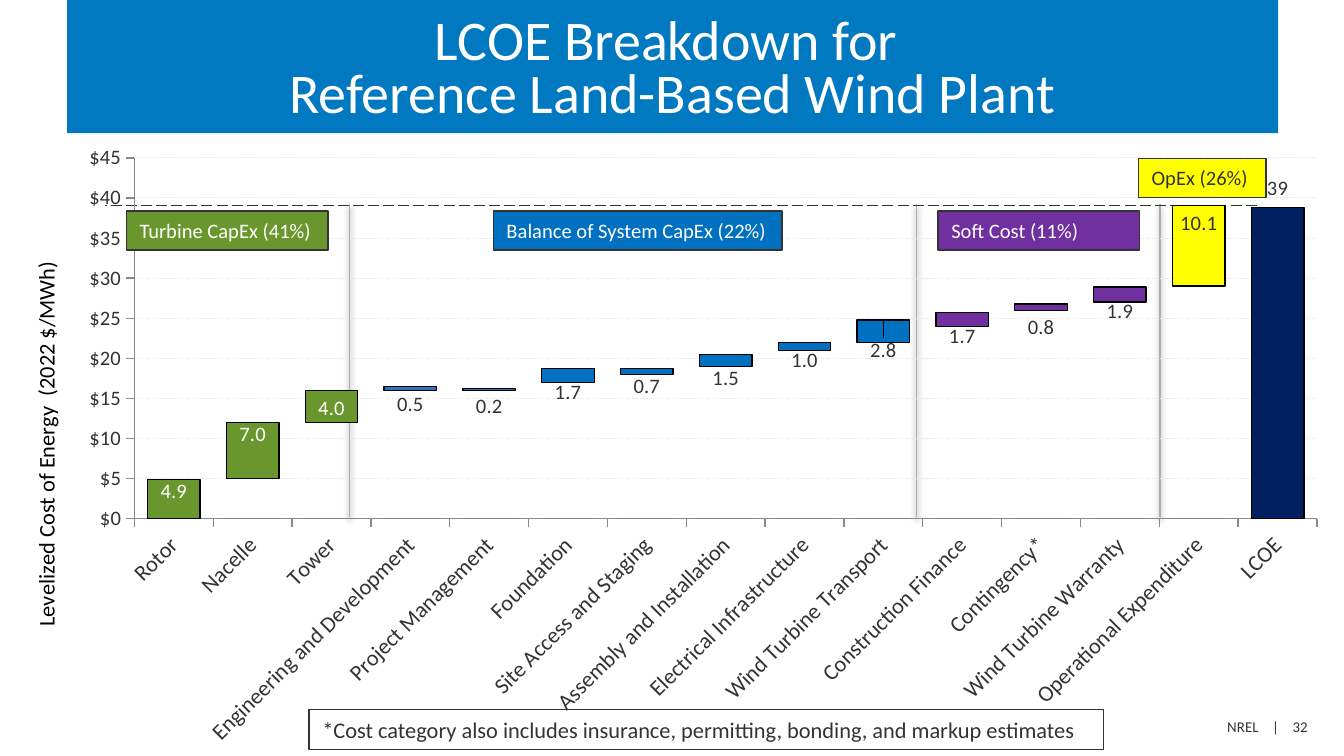
from itertools import accumulate

from lxml import etree
from pptx import Presentation
from pptx.chart.data import CategoryChartData
from pptx.dml.color import RGBColor
from pptx.enum import chart as ch, dml, shapes, text
from pptx.oxml import parse_xml
from pptx.oxml.ns import nsdecls, qn
from pptx.util import Inches, Pt

FONT = "Calibri"
WHITE = RGBColor(0xFF, 0xFF, 0xFF)
BLACK = RGBColor(0, 0, 0)
DARK = RGBColor(0x33, 0x33, 0x33)
BANNER = RGBColor(0x00, 0x79, 0xC1)
GREEN = RGBColor(0x6A, 0x97, 0x2D)
MID_BLUE = RGBColor(0x30, 0x72, 0xC2)
BLUE = RGBColor(0x00, 0x70, 0xC0)
PURPLE = RGBColor(0x70, 0x30, 0xA0)
YELLOW = RGBColor(0xFF, 0xFF, 0x00)
NAVY = RGBColor(0x00, 0x20, 0x60)
ORANGE = RGBColor(0xF6, 0xA0, 0x1A)
DIVIDER = RGBColor(0xAD, 0xAD, 0xAD)
AXIS = RGBColor(0x89, 0x89, 0x89)
GRID = RGBColor(0xE7, 0xE6, 0xE6)

# name, cost, bar colour, vertical label shift as a share of chart height (None: default)
COSTS = [
    ("Rotor", 4.9, GREEN, -0.01),
    ("Nacelle", 7.0, GREEN, -0.01),
    ("Tower", 4.0, GREEN, 0.0),
    ("Engineering and Development", 0.5, MID_BLUE, None),
    ("Project Management", 0.2, MID_BLUE, 0.0),
    ("Foundation", 1.7, BLUE, 0.01),
    ("Site Access and Staging", 0.7, BLUE, None),
    ("Assembly and Installation", 1.5, BLUE, 0.01),
    ("Electrical Infrastructure", 1.0, BLUE, 0.0),
    ("Wind Turbine Transport", 2.8, BLUE, 0.02),
    ("Construction Finance", 1.7, PURPLE, 0.01),
    ("Contingency*", 0.8, PURPLE, 0.01),
    ("Wind Turbine Warranty", 1.9, PURPLE, 0.01),
    ("Operational Expenditure", 10.1, YELLOW, None),
]
TOTAL = ("LCOE", 38.8, NAVY, -0.06)
BARS = COSTS + [TOTAL]


def add_box(place, lines, size, color, fill=None, outline=DARK, wrap=True):
    box = page.shapes.add_shape(shapes.MSO_SHAPE.RECTANGLE, *map(Inches, place))
    box.shadow.inherit = False
    if fill is None:
        box.fill.background()
    else:
        box.fill.solid()
        box.fill.fore_color.rgb = fill
    if outline is None:
        box.line.fill.background()
    else:
        box.line.color.rgb = outline
        box.line.width = Pt(0.75)
    frame = box.text_frame
    frame.word_wrap = wrap
    frame.vertical_anchor = text.MSO_ANCHOR.TOP
    para = frame.paragraphs[0]
    para.alignment = text.PP_ALIGN.LEFT
    for number, line in enumerate(lines):
        if number:
            para.add_line_break()
        span = para.add_run()
        span.text = line
        span.font.name = FONT
        span.font.size = Pt(size)
        span.font.color.rgb = color
    return box


def manual_layout(x, y, size=None):
    """Chart layout in shares of the chart; with a size it frames the inner plot."""
    parts = [("x", x), ("y", y)]
    modes = ""
    if size:
        parts += [("w", size[0]), ("h", size[1])]
        modes = '<c:layoutTarget val="inner"/>'
    if size or x:
        modes += '<c:xMode val="edge"/><c:yMode val="edge"/>'
    values = "".join(f'<c:{tag} val="{value}"/>' for tag, value in parts)
    return parse_xml(f'<c:layout {nsdecls("c")}><c:manualLayout>{modes}{values}'
                     "</c:manualLayout></c:layout>")


deck = Presentation()
deck.slide_width, deck.slide_height = Inches(10), Inches(10 * 9 / 16)
page = deck.slides.add_slide(deck.slide_layouts[6])

footer = add_box((7.34, 5.29, 2.49, 0.24), ["NREL    |    32"], 8, DARK, outline=None)
footer.text_frame.paragraphs[0].alignment = text.PP_ALIGN.RIGHT

title = add_box((0.5, 0, 9.01, 0.99),
                ["LCOE Breakdown for ", "Reference Land-Based Wind Plant"],
                30, WHITE, fill=BANNER, outline=None)
title.text_frame.margin_top = Inches(0.13)
title.text_frame.vertical_anchor = text.MSO_ANCHOR.MIDDLE
title.text_frame.paragraphs[0].alignment = text.PP_ALIGN.CENTER
title.text_frame.paragraphs[0].line_spacing = Pt(28)

# Group dividers with a soft shadow, then the dashed total line
for x in (2.6, 6.82, 8.63):
    divider = page.shapes.add_connector(shapes.MSO_CONNECTOR.STRAIGHT,
                                        Inches(x), Inches(1.52), Inches(x), Inches(3.85))
    divider.line.color.rgb = DIVIDER
    divider.line.width = Pt(1)
    divider._element.spPr.append(parse_xml(
        f'<a:effectLst {nsdecls("a")}><a:outerShdw blurRad="{Pt(3.1)}" dist="{Pt(1.6)}" '
        'dir="5400000" rotWithShape="0"><a:srgbClr val="000000"><a:alpha val="38000"/>'
        "</a:srgbClr></a:outerShdw></a:effectLst>"))

total_line = page.shapes.add_connector(shapes.MSO_CONNECTOR.STRAIGHT,
                                       Inches(9.35), Inches(1.53), Inches(0.78), Inches(1.53))
total_line.line.color.rgb = DARK
total_line.line.width = Pt(0.75)
total_line.line.dash_style = dml.MSO_LINE.LONG_DASH
etree.SubElement(total_line._element.spPr, qn("a:effectLst"))

add_box((2.3, 5.28, 5.91, 0.3),
        ["*Cost category also includes insurance, permitting, bonding, and markup estimates"],
        12, DARK, wrap=False)

# Waterfall: an unfilled series lifts each cost to the running sum in whole dollars
costs = [cost for _, cost, _, _ in COSTS]
bases = [int(round(base, 1) + 0.5) for base in accumulate([0] + costs[:-1])] + [0]
data = CategoryChartData(number_format="0.0")
data.categories = [name for name, *_ in BARS]
data.add_series("Series 1", [0] * len(BARS))
data.add_series("Series 2", bases)
data.add_series("Series 3", costs + [TOTAL[1]])
chart = page.shapes.add_chart(ch.XL_CHART_TYPE.COLUMN_STACKED, Inches(0), Inches(0.99),
                              Inches(10), Inches(4.63), data).chart
chart.has_legend = False
chart.has_title = False
chart.font.name = FONT
chart.font.size = Pt(10)
chart.font.color.rgb = DARK
plot = chart.plots[0]
plot.gap_width, plot.overlap = 50, 100
plot.vary_by_categories = False
plot_area = chart._chartSpace.chart.plotArea
for layout in plot_area.findall(qn("c:layout")):
    plot_area.remove(layout)
plot_area.insert(0, manual_layout(0.1, 0.04, (0.88, 0.58)))

for axis, size in ((chart.category_axis, 12), (chart.value_axis, 11)):
    axis.major_tick_mark = ch.XL_TICK_MARK.OUTSIDE
    axis.minor_tick_mark = ch.XL_TICK_MARK.NONE
    axis.format.line.color.rgb = AXIS
    axis.tick_labels.font.name = FONT
    axis.tick_labels.font.size = Pt(size)
    axis.tick_labels.font.color.rgb = DARK
names_body = chart.category_axis._element.find(qn("c:txPr")).find(qn("a:bodyPr"))
names_body.set("rot", "-2700000")
names_body.set("vert", "horz")

dollars = chart.value_axis
dollars.minimum_scale, dollars.maximum_scale, dollars.major_unit = 0, 45, 5
dollars.tick_labels.number_format = '"$"#,##0'
dollars.tick_labels.number_format_is_linked = False
grid = dollars.major_gridlines.format.line
grid.color.rgb = GRID
grid.width = Pt(0.5)
grid.dash_style = dml.MSO_LINE.ROUND_DOT
axis_title = dollars.axis_title
span = axis_title.text_frame.paragraphs[0].add_run()
span.text = " Levelized Cost of Energy  (2022 $/MWh)"
span.font.name, span.font.size, span.font.bold = FONT, Pt(12), False
span.font.color.rgb = BLACK
axis_title.text_frame._txBody.bodyPr.set("rot", "-5400000")
axis_title.text_frame._txBody.bodyPr.set("vert", "horz")
for layout in axis_title._element.findall(qn("c:layout")):
    axis_title._element.remove(layout)
axis_title._element.find(qn("c:tx")).addnext(manual_layout(0.02, 0.2))

zero, base, cost_bars = plot.series
zero.format.fill.solid()
zero.format.fill.fore_color.rgb = BANNER
base.format.fill.background()
base.format.line.fill.background()
cost_bars.format.fill.solid()
cost_bars.format.fill.fore_color.rgb = ORANGE
cost_bars.format.line.color.rgb = BLACK
cost_bars.format.line.width = Pt(0.75)
labels = cost_bars.data_labels
labels.show_value = True
labels.position = ch.XL_LABEL_POSITION.INSIDE_END
labels.number_format, labels.number_format_is_linked = "0.0", False
labels.font.name, labels.font.size = FONT, Pt(11)
labels.font.color.rgb = DARK

for index, (name, _, color, shift) in enumerate(BARS):
    point = cost_bars.points[index]
    point.format.fill.solid()
    point.format.fill.fore_color.rgb = color
    point.format.line.color.rgb = BLACK
    point.format.line.width = Pt(0.75)
    if shift is None:
        continue
    label = point.data_label
    label.font.name, label.font.size = FONT, Pt(11)
    label.font.color.rgb = WHITE if color == GREEN else DARK
    label.position = ch.XL_LABEL_POSITION.INSIDE_END
    layout = manual_layout(0, shift)
    label._dLbl.find(qn("c:idx")).addnext(layout)
    digits = "0" if name == "LCOE" else "0.0"
    layout.addnext(parse_xml(
        f'<c:numFmt {nsdecls("c")} formatCode="{digits}" sourceLinked="0"/>'))

for label, left, top, width, fill, color, wrap in (
        ("OpEx (26%)", 8.47, 1.18, 0.95, YELLOW, DARK, True),
        ("Soft Cost (11%)", 6.98, 1.57, 1.5, PURPLE, WHITE, True),
        ("Balance of System CapEx (22%)", 3.67, 1.57, 2.15, BLUE, WHITE, False),
        ("Turbine CapEx (41%)", 0.94, 1.57, 1.5, GREEN, WHITE, False)):
    add_box((left, top, width, 0.29), [label], 11, color, fill=fill, wrap=wrap)

deck.save("out.pptx")
